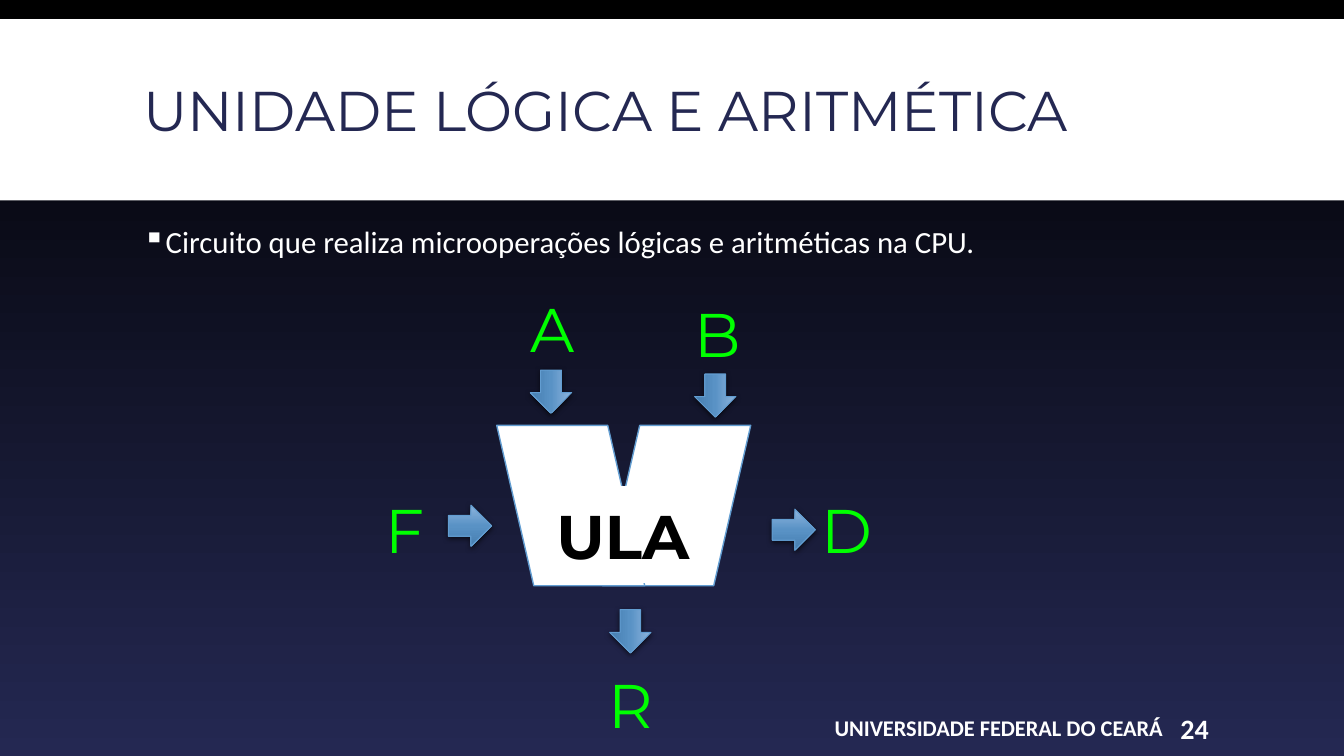
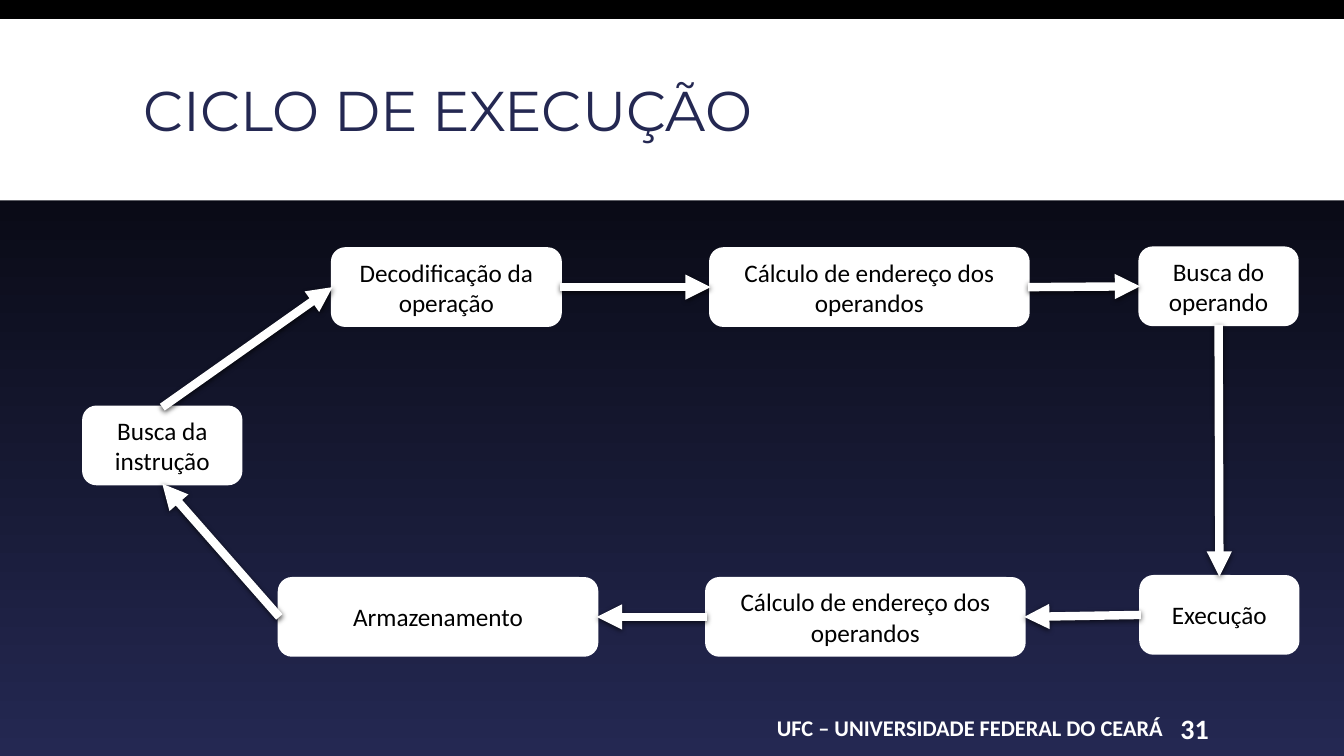
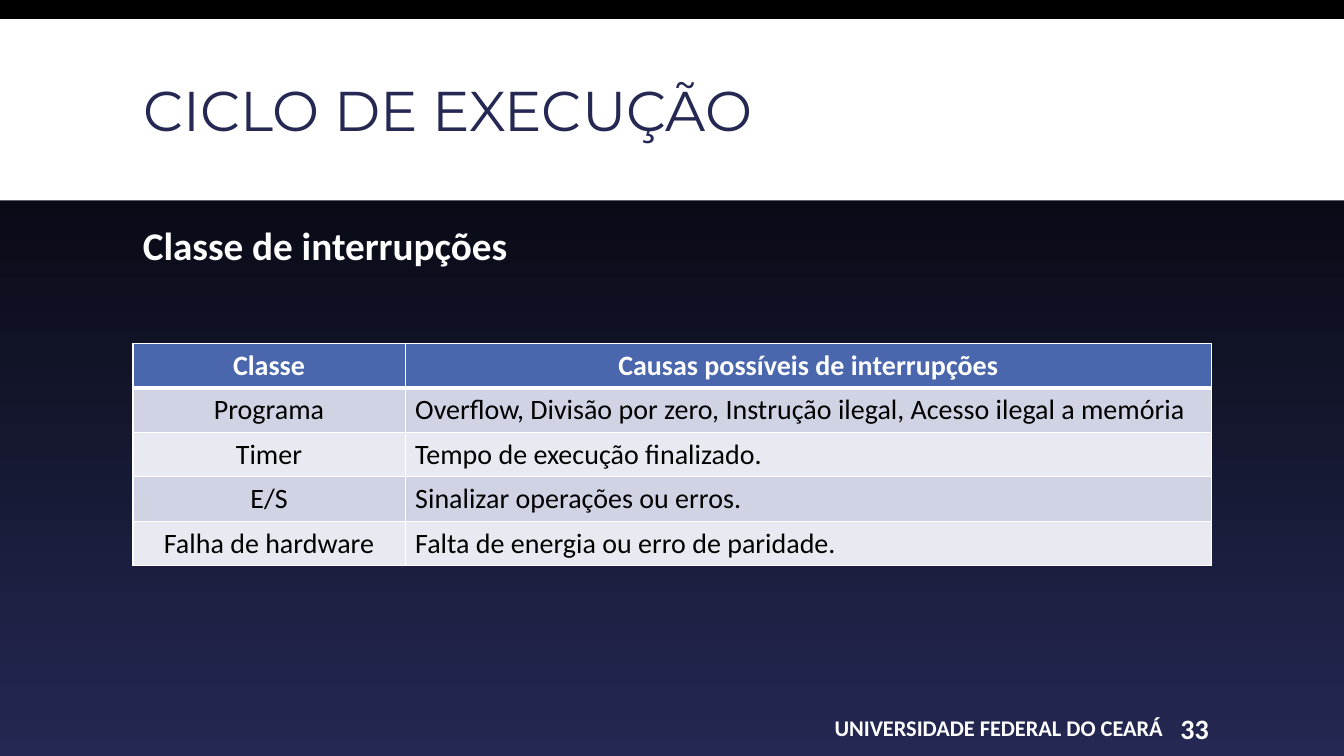
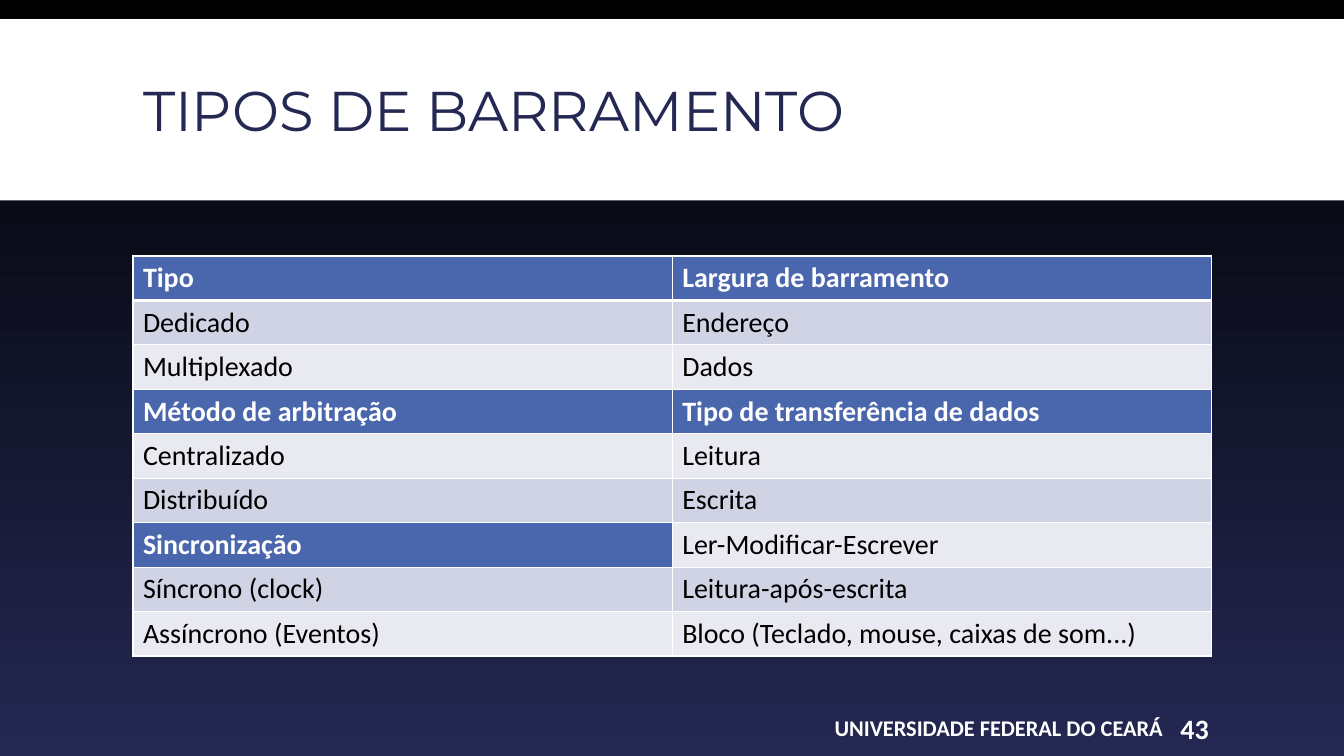
from copy import deepcopy
from dataclasses import dataclass

from lxml.etree import SubElement
from pptx import Presentation
from pptx.dml.color import RGBColor as Rgb
from pptx.enum.shapes import MSO_CONNECTOR as Connector, MSO_SHAPE as Preset
from pptx.enum.text import MSO_ANCHOR as Anchor, MSO_AUTO_SIZE as AutoSize, PP_ALIGN as Align
from pptx.oxml.ns import qn
from pptx.util import Cm, Pt


@dataclass(frozen=True)
class Theme:
    """Colours, typefaces and type sizes of the deck."""
    white: str = "FFFFFF"
    black: str = "000000"
    navy: str = "242852"
    green: str = "00FF00"
    outline: str = "629DD1"
    arrow: tuple = ("8DB4DD", "5992C5", "467EB0")
    header: str = "4A66AC"
    bands: tuple = ("E9EAF1", "D0D3E3")
    display: str = "Montserrat"
    text: str = "Calibri"
    title_size: int = 40
    symbol_size: int = 44
    subtitle_size: int = 28
    body_size: int = 22
    table_size: int = 20
    stage_size: int = 18
    footer_size: int = 16


@dataclass(frozen=True)
class Box:
    """A rectangle in centimetres."""
    left: float
    top: float
    width: float
    height: float

    def inside(self, left, top, width, height):
        """Return a box whose origin is relative to this one."""
        return Box(self.left + left, self.top + top, width, height)

    def lengths(self):
        """Return left, top, width and height as slide lengths."""
        return [Cm(value) for value in (self.left, self.top, self.width, self.height)]


THEME = Theme()
PAGE = Box(0, 0, 33.87, 19.05)
BAND = Box(0, 0.48, 33.87, 4.57)
TITLE = Box(3.35, 0.79, 27.18, 4.19)
BODY = Box(3.35, 5.59, 27.18, 11.68)
FOOTER = Box(15.54, 17.83, 16.7, 1.02)
UNIVERSITY = "UNIVERSIDADE FEDERAL DO CEARÁ"


def assign(target, formats):
    """Set each attribute of the target from a dict."""
    for name, value in formats.items():
        setattr(target, name, value)


def write(frame, text, size, color, font=THEME.text, bold=False, para_format=None, frame_format=None):
    """Write one formatted paragraph in a text frame."""
    assign(frame, {"word_wrap": True, **(frame_format or {})})
    para = frame.paragraphs[0]
    assign(para, {"alignment": Align.LEFT, **(para_format or {})})
    span = para.add_run()
    span.text = text
    assign(span.font, {"name": font, "size": Pt(size), "bold": bold})
    span.font.color.rgb = Rgb.from_string(color)
    return para


def add_label(page, box, text, size, color, **formats):
    """Add a text box with one paragraph."""
    label = page.shapes.add_textbox(*box.lengths())
    return write(label.text_frame, text, size, color, **formats)


def paint_line(line, color, width):
    """Give a line its colour and width in points."""
    line.fill.solid()
    line.fill.fore_color.rgb = Rgb.from_string(color)
    line.width = Pt(width)


def paint_gradient(fill, colors):
    """Fill from top to bottom through evenly spaced colours."""
    fill.gradient()
    fill.gradient_angle = 270
    first = fill.gradient_stops[0]
    stop_list = first._gs.getparent()
    for _ in colors[2:]:
        stop_list.insert(1, deepcopy(stop_list[0]))
    for index, (stop, color) in enumerate(zip(fill.gradient_stops, colors)):
        stop.color.rgb = Rgb.from_string(color)
        stop.position = index / (len(colors) - 1)


def add_plain(shapes, preset, box, line=None, width=1):
    """Add a white preset shape without a shadow."""
    shape = shapes.add_shape(preset, *box.lengths())
    shape.shadow.inherit = False
    shape.fill.solid()
    shape.fill.fore_color.rgb = Rgb.from_string(THEME.white)
    if line:
        paint_line(shape.line, line, width)
    else:
        shape.line.fill.background()
    return shape


def cast_shadow(properties):
    """Append a soft shadow below to shape properties."""
    for old in properties.findall(qn("a:effectLst")):
        properties.remove(old)
    effects = SubElement(properties, qn("a:effectLst"))
    shadow = SubElement(effects, qn("a:outerShdw"), blurRad=str(Pt(4)), dist=str(Pt(1.2)),
                        dir="5400000", algn="ctr", rotWithShape="0")
    color = SubElement(shadow, qn("a:srgbClr"), val=THEME.black)
    SubElement(color, qn("a:alpha"), val="68000")


def add_footer(page, box, text, number):
    """Place the institution and page number."""
    add_label(page, box.inside(0, 0, 14.02, box.height), text, THEME.footer_size, THEME.white,
              bold=True, para_format={"alignment": Align.RIGHT},
              frame_format={"vertical_anchor": Anchor.MIDDLE})
    add_label(page, box.inside(14.08, 0, 2.62, box.height), number, THEME.table_size, THEME.white,
              bold=True, frame_format={"vertical_anchor": Anchor.MIDDLE, "margin_left": Cm(0.13)})


def add_page(deck, title, number, footer=UNIVERSITY):
    """Add a slide with its band, title and footer."""
    page = deck.slides.add_slide(deck.slide_layouts[5])
    band = add_plain(page.shapes, Preset.RECTANGLE, BAND)
    heading = page.shapes.title
    heading._element.addprevious(band._element)
    assign(heading, dict(zip(("left", "top", "width", "height"), TITLE.lengths())))
    write(heading.text_frame, title, THEME.title_size, THEME.navy, font=THEME.display,
          para_format={"line_spacing": 0.85},
          frame_format={"vertical_anchor": Anchor.MIDDLE, "auto_size": AutoSize.NONE})
    add_footer(page, FOOTER, footer, number)
    return page


def add_body(page, box, text, size, bold=False, bullet=None):
    """Add the introductory line with an optional bullet."""
    para = add_label(page, box, text, size, THEME.white, bold=bold, para_format={
        "line_spacing": 0.9, "space_before": Pt(12), "space_after": Pt(2)})
    if bullet:
        properties = para._p.get_or_add_pPr()
        assign_indent = {"marL": str(Cm(0.51)), "indent": str(-Cm(0.51))}
        properties.attrib.update(assign_indent)
        color = SubElement(properties, qn("a:buClr"))
        SubElement(color, qn("a:srgbClr"), val=THEME.white)
        SubElement(properties, qn("a:buChar"), char=bullet)


def add_unit(page, box):
    """Draw the notched unit from two slanted halves and a name plate."""
    group = page.shapes.add_group_shape()
    halves = [add_plain(group.shapes, Preset.PARALLELOGRAM, box.inside(left, 0, 3.73, 4.04), THEME.outline)
              for left in (2.67, 0)]
    halves[1]._element.spPr.xfrm.set("flipH", "1")
    plate = add_plain(group.shapes, Preset.RECTANGLE, box.inside(1.02, 1.55, 4.32, 2.41), THEME.white)
    write(plate.text_frame, "ULA", THEME.symbol_size, THEME.black, font=THEME.display, bold=True,
          para_format={"alignment": Align.CENTER}, frame_format={"vertical_anchor": Anchor.MIDDLE})


def add_unit_diagram(page, box):
    """Draw the unit with its lettered inputs and outputs."""
    add_unit(page, box.inside(3.05, 3.51, 6.4, 4.04))
    ports = [
        ("A", (3.64, 0), (3.87, 2.14), 90),
        ("B", (7.78, 0.13), (8.01, 2.24), 90),
        ("F", (0, 5.06), (1.83, 5.52), 0),
        ("D", (10.98, 5.06), (9.99, 5.62), 0),
        ("R", (5.62, 9.48), (5.87, 8.18), 90),
    ]
    for letter, letter_at, arrow_at, turn in ports:
        add_label(page, box.inside(*letter_at, 1.55, 2.13), letter, THEME.symbol_size,
                  THEME.green, font=THEME.display)
        arrow = add_plain(page.shapes, Preset.RIGHT_ARROW, box.inside(*arrow_at, 1.09, 1.04),
                          THEME.outline, 0.75)
        arrow.rotation = turn
        paint_gradient(arrow.fill, THEME.arrow)
        cast_shadow(arrow._element.spPr)


def add_stage(page, box, text):
    """Add one rounded stage of the cycle."""
    stage = add_plain(page.shapes, Preset.ROUNDED_RECTANGLE, box, THEME.white, 2.25)
    write(stage.text_frame, text, THEME.stage_size, THEME.black,
          para_format={"alignment": Align.CENTER}, frame_format={"vertical_anchor": Anchor.MIDDLE})
    return stage


def link(page, source, exit_site, target, entry_site):
    """Join two stages with a thick arrow."""
    arrow = page.shapes.add_connector(Connector.STRAIGHT, 0, 0, 0, 0)
    arrow.begin_connect(source, exit_site)
    arrow.end_connect(target, entry_site)
    paint_line(arrow.line, THEME.white, 6)
    SubElement(arrow.line._get_or_add_ln(), qn("a:tailEnd"), type="triangle")
    cast_shadow(arrow._element.spPr)


def add_cycle(page, box):
    """Draw the stages of the execution cycle and link them in a ring."""
    top, left, bottom, right = range(4)
    steps = [
        ("Busca da instrução", 0, 4.01, 3.96, top, left),
        ("Decodificação da operação", 6.27, 0.02, 5.74, right, left),
        ("Cálculo de endereço dos operandos", 15.8, 0.02, 8, right, left),
        ("Busca do operando", 26.62, 0, 3.96, bottom, top),
        ("Execução", 26.64, 8.28, 3.96, left, right),
        ("Cálculo de endereço dos operandos", 15.7, 8.33, 8, left, right),
        ("Armazenamento", 4.93, 8.33, 8, left, bottom),
    ]
    stages = [add_stage(page, box.inside(x, y, width, 1.93), text)
              for text, x, y, width, *_ in steps]
    for stage, following, step in zip(stages, stages[1:] + stages[:1], steps):
        link(page, stage, step[4], following, step[5])


def add_borders(cell, row):
    """Draw white cell borders, thicker below the first row."""
    widths = {"L": 1, "R": 1, "T": 3 if row == 1 else 1, "B": 3 if row == 0 else 1}
    properties = cell._tc.get_or_add_tcPr()
    for index, (side, width) in enumerate(widths.items()):
        border = SubElement(properties, qn(f"a:ln{side}"), w=str(Pt(width)))
        fill = SubElement(border, qn("a:solidFill"))
        SubElement(fill, qn("a:srgbClr"), val=THEME.white)
        properties.insert(index, border)


def add_grid(page, box, rows, widths, headings, centred=()):
    """Add a banded table with heading cells and centred cells."""
    frame = page.shapes.add_table(len(rows), len(widths), *box.lengths())
    table = frame.table
    assign(table, {"first_row": False, "horz_banding": False})
    for column, width in zip(table.columns, widths):
        column.width = Cm(width)
    for row, texts in enumerate(rows):
        table.rows[row].height = Cm(box.height / len(rows))
        for column, text in enumerate(texts):
            cell = table.cell(row, column)
            heading = (row, column) in headings
            cell.fill.solid()
            cell.fill.fore_color.rgb = Rgb.from_string(THEME.header if heading else THEME.bands[row % 2])
            alignment = Align.CENTER if (row, column) in centred else Align.LEFT
            write(cell.text_frame, text, THEME.table_size, THEME.white if heading else THEME.black,
                  bold=heading, para_format={"alignment": alignment})
            add_borders(cell, row)


def build_interruptions(page, box):
    """Place the classes of interruption and their causes."""
    rows = [
        ("Classe", "Causas possíveis de interrupções"),
        ("Programa", "Overflow, Divisão por zero, Instrução ilegal, Acesso ilegal a memória"),
        ("Timer", "Tempo de execução finalizado."),
        ("E/S", "Sinalizar operações ou erros."),
        ("Falha de hardware", "Falta de energia ou erro de paridade."),
    ]
    headings = {(0, 0), (0, 1)}
    centred = headings | {(row, 0) for row in range(len(rows))}
    add_grid(page, box, rows, (6.86, 20.32), headings, centred)


def build_buses(page, box):
    """Place the types of bus in two columns."""
    rows = [
        ("Tipo", "Largura de barramento"),
        ("Dedicado", "Endereço"),
        ("Multiplexado", "Dados"),
        ("Método de arbitração", "Tipo de transferência de dados"),
        ("Centralizado", "Leitura"),
        ("Distribuído", "Escrita"),
        ("Sincronização", "Ler-Modificar-Escrever"),
        ("Síncrono (clock)", "Leitura-após-escrita"),
        ("Assíncrono (Eventos)", "Bloco (Teclado, mouse, caixas de som...)"),
    ]
    headings = {(0, 0), (0, 1), (3, 0), (3, 1), (6, 0)}
    add_grid(page, box, rows, (box.width / 2,) * 2, headings)


def main():
    """Build and save the deck."""
    deck = Presentation()
    assign(deck, {"slide_width": Cm(PAGE.width), "slide_height": Cm(PAGE.height)})
    paint_gradient(deck.slide_master.background.fill, (THEME.black, THEME.navy))

    page = add_page(deck, "UNIDADE LÓGICA E ARITMÉTICA", "24")
    add_body(page, BODY, "Circuito que realiza microoperações lógicas e aritméticas na CPU.",
             THEME.body_size, bullet="▪")
    add_unit_diagram(page, Box(9.47, 7.21, 12.53, 11.61))

    page = add_page(deck, "CICLO DE EXECUÇÃO", "31", f"UFC – {UNIVERSITY}")
    add_cycle(page, Box(2.11, 6.25, 30.6, 10.26))

    page = add_page(deck, "CICLO DE EXECUÇÃO", "33")
    add_body(page, BODY, "Classe de interrupções", THEME.subtitle_size, bold=True)
    build_interruptions(page, Box(3.35, 8.66, 27.18, 5.6))

    page = add_page(deck, "TIPOS DE BARRAMENTO", "43")
    build_buses(page, Box(3.35, 6.45, 27.18, 10.08))

    deck.save("out.pptx")


if __name__ == "__main__":
    main()
